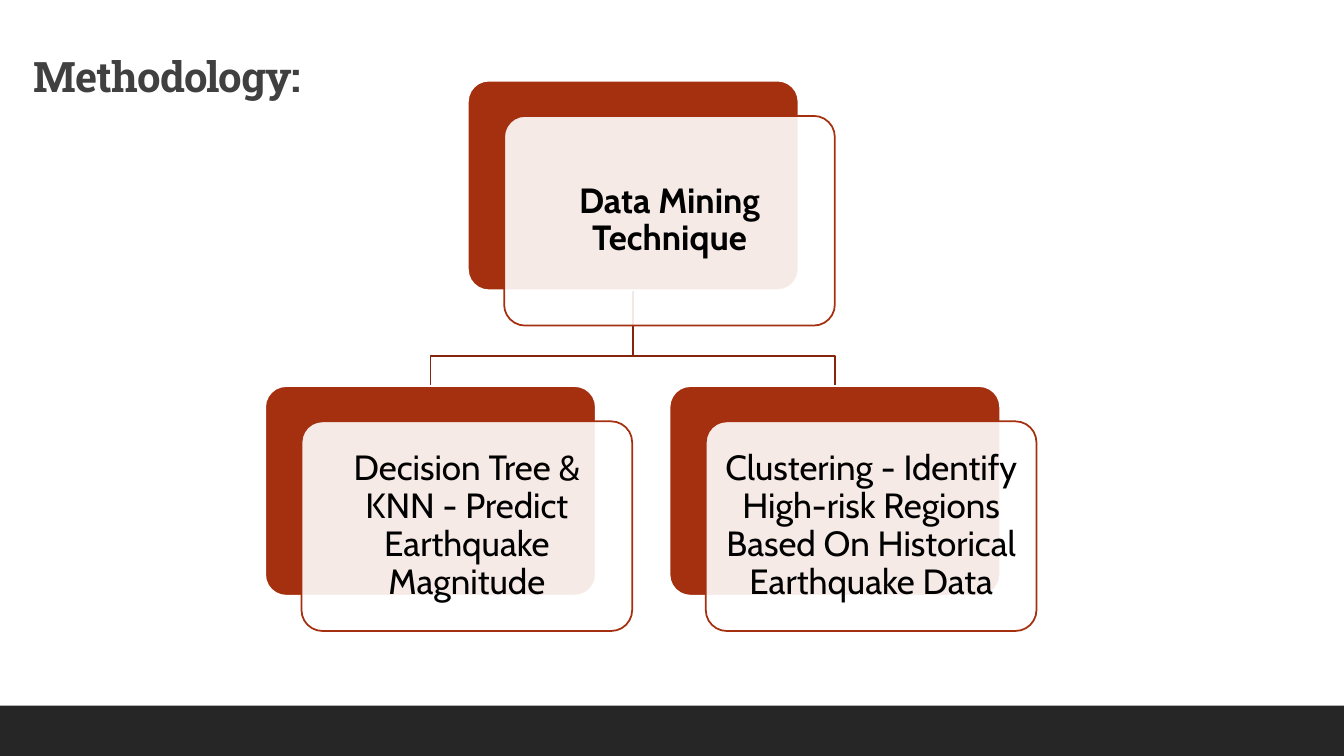
from dataclasses import dataclass

from lxml.etree import SubElement
from pptx import Presentation
from pptx.dml.color import RGBColor
from pptx.enum.shapes import MSO_SHAPE as Preset
from pptx.enum.text import MSO_ANCHOR as Anchor, PP_ALIGN as Align
from pptx.oxml.ns import qn
from pptx.shapes.autoshape import Shape
from pptx.slide import Slide
from pptx.util import Pt

PX = 9144
SLIDE_W, SLIDE_H = 1333, 750
FOOTER_H = 50
CARD_W, CARD_H = 328, 208
PANEL_DX, PANEL_DY = 36, 35
PANEL_INSET = 10
LINE_PT = 1.25
COLORS = {
    "white": "FFFFFF",
    "footer": "262626",
    "card": "A5300F",
    "branch": "84260C",
    "body": "000000",
    "heading": "404040",
}


@dataclass(frozen=True)
class Card:
    left: int
    top: int
    label: str
    bold: bool = False

    @property
    def center(self) -> int:
        return self.left + CARD_W // 2


TECHNIQUE = Card(464, 80, "Data Mining Technique", bold=True)
METHODS = [
    Card(263, 383, "Decision Tree & KNN - Predict Earthquake Magnitude"),
    Card(664, 383, "Clustering - Identify High-risk Regions Based On Historical Earthquake Data"),
]


def rgb(name: str) -> RGBColor:
    return RGBColor.from_string(COLORS[name])


def set_line(shape: Shape, color: str) -> None:
    shape.line.color.rgb = rgb(color)
    shape.line.width = Pt(LINE_PT)


def add_block(slide: Slide, preset: Preset, left: int, top: int,
              width: int, height: int, fill: str) -> Shape:
    block = slide.shapes.add_shape(
        preset, left * PX, top * PX, width * PX, height * PX)
    block.shadow.inherit = False
    block.fill.solid()
    block.fill.fore_color.rgb = rgb(fill)
    return block


def add_rounded(slide: Slide, left: int, top: int, fill: str, line: str) -> Shape:
    rounded = add_block(slide, Preset.ROUNDED_RECTANGLE, left, top, CARD_W, CARD_H, fill)
    rounded.adjustments[0] = 0.1
    set_line(rounded, line)
    return rounded


def write(shape: Shape, text: str, font: str, size: int, color: str,
          bold: bool, align: Align, anchor: Anchor) -> None:
    frame = shape.text_frame
    frame.word_wrap = True
    frame.vertical_anchor = anchor
    frame.text = text
    paragraph = frame.paragraphs[0]
    paragraph.alignment = align
    paragraph.line_spacing = 0.9
    run_font = paragraph.runs[0].font
    run_font.name = font
    run_font.size = Pt(size)
    run_font.bold = bold
    run_font.color.rgb = rgb(color)


def add_branch(slide: Slide, parent: Card, child: Card) -> None:
    start = parent.top + CARD_H
    bend = 353
    builder = slide.shapes.build_freeform(parent.center, start, scale=PX)
    builder.add_line_segments(
        [(parent.center, bend), (child.center, bend), (child.center, child.top)],
        close=False)
    branch = builder.convert_to_shape()
    branch.shadow.inherit = False
    branch.fill.background()
    set_line(branch, "branch")


def add_card(slide: Slide, card: Card) -> None:
    add_rounded(slide, card.left, card.top, "card", "white")
    panel = add_rounded(
        slide, card.left + PANEL_DX, card.top + PANEL_DY, "white", "card")
    tint = panel.fill._xPr.find(qn("a:solidFill"))[0]
    SubElement(tint, qn("a:alpha")).set("val", "90000")
    frame = panel.text_frame
    frame.margin_left = frame.margin_right = PANEL_INSET * PX
    frame.margin_top = frame.margin_bottom = PANEL_INSET * PX
    write(panel, card.label, "Cabin", 25, "body", card.bold, Align.CENTER, Anchor.MIDDLE)


def add_heading(slide: Slide) -> None:
    heading = slide.shapes.add_textbox(23 * PX, -53 * PX, 404 * PX, 159 * PX)
    write(heading, "Methodology:", "Roboto Slab", 30, "heading", True,
          Align.LEFT, Anchor.BOTTOM)
    paragraph = heading.text_frame.paragraphs[0]
    paragraph.space_after = Pt(6)
    paragraph.runs[0].font._element.set("spc", "-50")


def main() -> None:
    deck = Presentation()
    deck.slide_width = SLIDE_W * PX
    deck.slide_height = SLIDE_H * PX
    slide = deck.slides.add_slide(deck.slide_layouts[6])
    footer = add_block(slide, Preset.RECTANGLE, 0, SLIDE_H - FOOTER_H,
                       SLIDE_W, FOOTER_H, "footer")
    footer.line.fill.background()
    for method in reversed(METHODS):
        add_branch(slide, TECHNIQUE, method)
    for card in [TECHNIQUE, *METHODS]:
        add_card(slide, card)
    add_heading(slide)
    deck.save("out.pptx")


if __name__ == "__main__":
    main()
